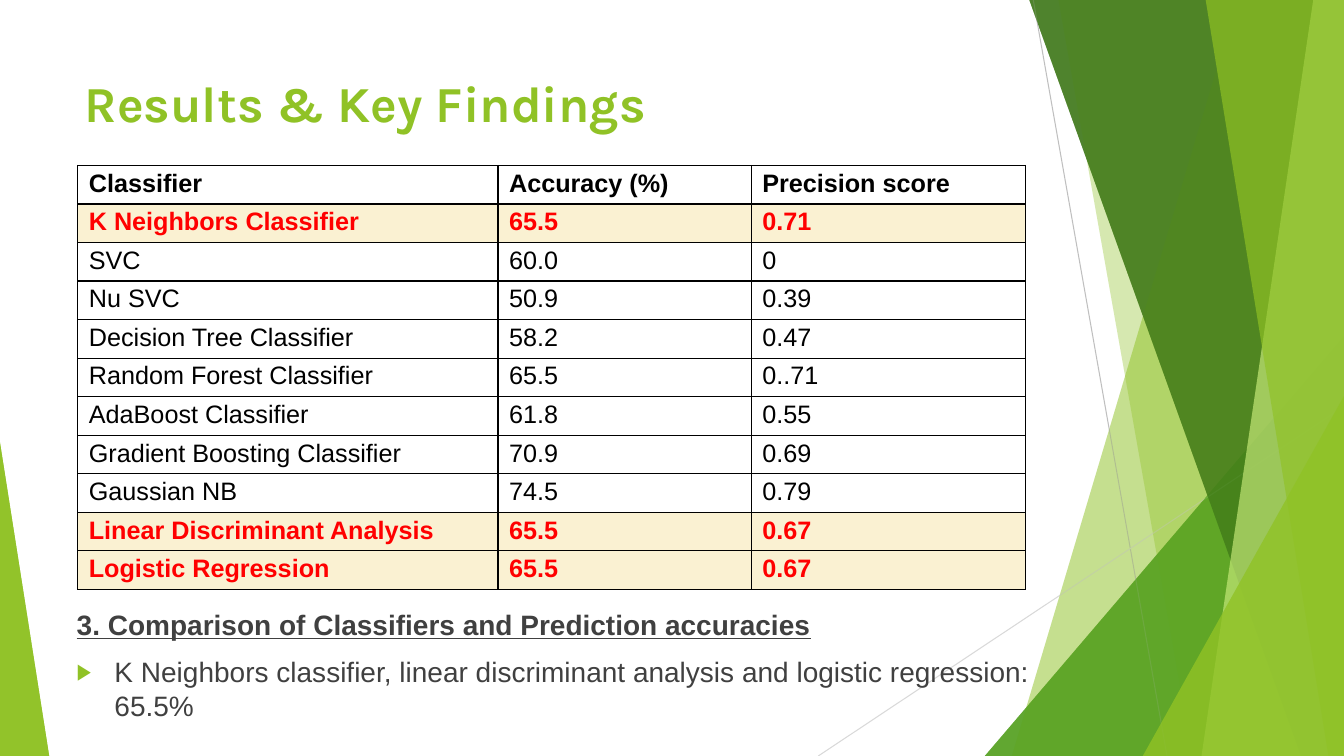
from dataclasses import dataclass

from lxml import etree
from pptx import Presentation
from pptx import util as u
from pptx.dml.color import RGBColor
from pptx.enum import shapes, text
from pptx.oxml import ns

WIDTH, HEIGHT = 33.87, 19.05
BLEED = -0.03
GREEN, GREY, BLACK, RED, CREAM = "90C226", "404040", "000000", "FF0000", "FAF1D2"


@dataclass
class Facet:
    """Band from a slanted left edge to the right slide edge, in cm."""
    top_x: float
    bottom_x: float
    color: str
    opacity: int


@dataclass
class Corner:
    """Right triangle standing on the bottom slide edge, in cm."""
    left: float
    top: float
    width: float
    apex: float
    color: str
    opacity: int


@dataclass
class Ray:
    start: tuple[float, float]
    end: tuple[float, float]
    color: str


@dataclass
class Result:
    classifier: str
    accuracy: str
    precision: str
    bold: bool = False
    color: str = BLACK
    fill: str | None = None


def rgb(value: str) -> RGBColor:
    return RGBColor.from_string(value)


def add_child(parent, tag: str, **attributes):
    return etree.SubElement(parent, ns.qn(tag), attributes)


def apply(target, values: dict) -> None:
    for name, value in values.items():
        setattr(target, name, value)


def write(paragraph, words: str, color: str, **font_values) -> None:
    run = paragraph.add_run()
    run.text = words
    apply(run.font, font_values)
    run.font.color.rgb = rgb(color)


def paint(shape, color: str, opacity: int) -> None:
    shape.shadow.inherit = False
    shape.line.fill.background()
    shape.fill.solid()
    shape.fill.fore_color.rgb = rgb(color)
    tone = shape.element.spPr.find(".//" + ns.qn("a:srgbClr"))
    add_child(tone, "a:alpha", val=str(opacity * 1000))


def draw_facet(slide, facet: Facet) -> None:
    outline = slide.shapes.build_freeform(u.Cm(facet.top_x), u.Cm(BLEED))
    corners = [(WIDTH, BLEED), (WIDTH, HEIGHT), (facet.bottom_x, HEIGHT)]
    outline.add_line_segments([(u.Cm(x), u.Cm(y)) for x, y in corners])
    paint(outline.convert_to_shape(), facet.color, facet.opacity)


def draw_corner(slide, corner: Corner) -> None:
    triangle = slide.shapes.add_shape(
        shapes.MSO_SHAPE.ISOSCELES_TRIANGLE, u.Cm(corner.left), u.Cm(corner.top),
        u.Cm(corner.width), u.Cm(HEIGHT - corner.top))
    triangle.adjustments[0] = corner.apex
    paint(triangle, corner.color, corner.opacity)


def draw_ray(slide, ray: Ray) -> None:
    line = slide.shapes.add_connector(
        shapes.MSO_CONNECTOR.STRAIGHT, *(u.Cm(v) for v in ray.start + ray.end))
    line.line.color.rgb = rgb(ray.color)
    line.line.width = u.Pt(0.75)
    add_child(line.element.spPr, "a:effectLst")


def draw_backdrop(slide) -> None:
    for item in BACKDROP:
        draw_facet(slide, item) if isinstance(item, Facet) else draw_corner(slide, item)


def fill_cell(cell, words: str, result: Result) -> None:
    apply(cell, {"margin_left": u.Cm(0.28), "margin_right": u.Cm(0.28),
                 "margin_top": u.Cm(0.05), "margin_bottom": 0,
                 "vertical_anchor": text.MSO_ANCHOR.TOP})
    paragraph = cell.text_frame.paragraphs[0]
    paragraph.line_spacing = 1.07
    write(paragraph, words, result.color, size=u.Pt(18), name="Arial", bold=result.bold)
    properties = cell._tc.get_or_add_tcPr()
    for side in ("a:lnL", "a:lnR", "a:lnT", "a:lnB"):
        border = add_child(properties, side, w=str(u.Pt(1)))
        add_child(add_child(border, "a:solidFill"), "a:srgbClr", val=BLACK)
    if result.fill:
        cell.fill.solid()
        cell.fill.fore_color.rgb = rgb(result.fill)
    else:
        cell.fill.background()


BACKDROP = [
    Facet(31.19, 25.5, GREEN, 30),
    Facet(26.67, 30.05, GREEN, 20),
    Corner(24.82, 8.46, 9.05, 1, "54A021", 72),
    Facet(25.93, 32.79, "3F7819", 70),
    Facet(33.1, 30.28, "C0E474", 70),
    Facet(30.38, 33.48, GREEN, 65),
    Corner(28.8, 9.98, 5.07, 1, GREEN, 80),
    Corner(0, 11.15, 1.24, 0, GREEN, 85),
]
RAYS = [
    Ray((26.04, 0), (29.41, HEIGHT), "BFBFBF"),
    Ray((WIDTH, 10.24), (20.62, HEIGHT), "D9D9D9"),
]
HIGHLIGHT = (True, RED, CREAM)
RESULTS = [
    Result("Classifier", "Accuracy (%)", "Precision score", True),
    Result("K Neighbors Classifier", "65.5", "0.71", *HIGHLIGHT),
    Result("SVC", "60.0", "0"),
    Result("Nu SVC", "50.9", "0.39"),
    Result("Decision Tree Classifier", "58.2", "0.47"),
    Result("Random Forest Classifier", "65.5", "0..71"),
    Result("AdaBoost Classifier", "61.8", "0.55"),
    Result("Gradient Boosting Classifier", "70.9", "0.69"),
    Result("Gaussian NB", "74.5", "0.79"),
    Result("Linear Discriminant Analysis", "65.5", "0.67", *HIGHLIGHT),
    Result("Logistic Regression", "65.5", "0.67", *HIGHLIGHT),
]
COLUMNS = [10.59, 6.38, 6.91]
TABLE_HEIGHT = 10.69

deck = Presentation()
apply(deck, {"slide_width": u.Cm(WIDTH), "slide_height": u.Cm(HEIGHT)})
slide = deck.slides.add_slide(deck.slide_layouts[1])
heading, findings = slide.placeholders

# Backdrop: two layers of facets with the thin rays between them
draw_backdrop(slide)
for ray in RAYS:
    draw_ray(slide, ray)
draw_backdrop(slide)

# Title
slide.shapes.element.append(heading.element)
apply(heading, {"left": u.Cm(1.88), "top": u.Cm(1.7),
                "width": u.Cm(23.88), "height": u.Cm(3.66)})
apply(heading.text_frame, {"vertical_anchor": text.MSO_ANCHOR.TOP, "word_wrap": True,
                           "auto_size": text.MSO_AUTO_SIZE.NONE})
title_line = heading.text_frame.paragraphs[0]
title_line.alignment = text.PP_ALIGN.LEFT
write(title_line, "Results & Key Findings", GREEN, size=u.Pt(36), name="Karla", bold=True)

# Classifier table
scores = slide.shapes.add_table(len(RESULTS), len(COLUMNS), u.Cm(1.96), u.Cm(4.17),
                                u.Cm(sum(COLUMNS)), u.Cm(TABLE_HEIGHT)).table
apply(scores, {"first_row": False, "horz_banding": False})
for column, width in zip(scores.columns, COLUMNS):
    column.width = u.Cm(width)
for row, result in zip(scores.rows, RESULTS):
    row.height = u.Cm(TABLE_HEIGHT / len(RESULTS))
    for cell, words in zip(row.cells, (result.classifier, result.accuracy, result.precision)):
        fill_cell(cell, words, result)

# Findings below the table
slide.shapes.element.append(findings.element)
apply(findings, {"left": u.Cm(1.68), "top": u.Cm(15.11),
                 "width": u.Cm(26.31), "height": u.Cm(3.28)})
apply(findings.text_frame, {"vertical_anchor": text.MSO_ANCHOR.MIDDLE, "word_wrap": True,
                            "auto_size": text.MSO_AUTO_SIZE.NONE})
comparison = findings.text_frame.paragraphs[0]
best = findings.text_frame.add_paragraph()
for paragraph, words, strong, indent in (
        (comparison, "3. Comparison of Classifiers and Prediction accuracies", True, 0),
        (best, "K Neighbors classifier, linear discriminant analysis and "
               "logistic regression: 65.5%", False, u.Cm(0.95))):
    apply(paragraph, {"space_before": u.Pt(10), "alignment": text.PP_ALIGN.LEFT})
    write(paragraph, words, GREY, size=u.Pt(20), name="Arial", bold=strong, underline=strong)
    apply_to = paragraph._p.get_or_add_pPr()
    apply_to.set("marL", str(indent))
    apply_to.set("indent", str(-indent))
add_child(comparison._p.pPr, "a:buNone")
add_child(add_child(best._p.pPr, "a:buClr"), "a:srgbClr", val=GREEN)
add_child(best._p.pPr, "a:buSzPct", val="80000")
add_child(best._p.pPr, "a:buFont", typeface="Arial")
add_child(best._p.pPr, "a:buChar", char="▶")

deck.save("out.pptx")
